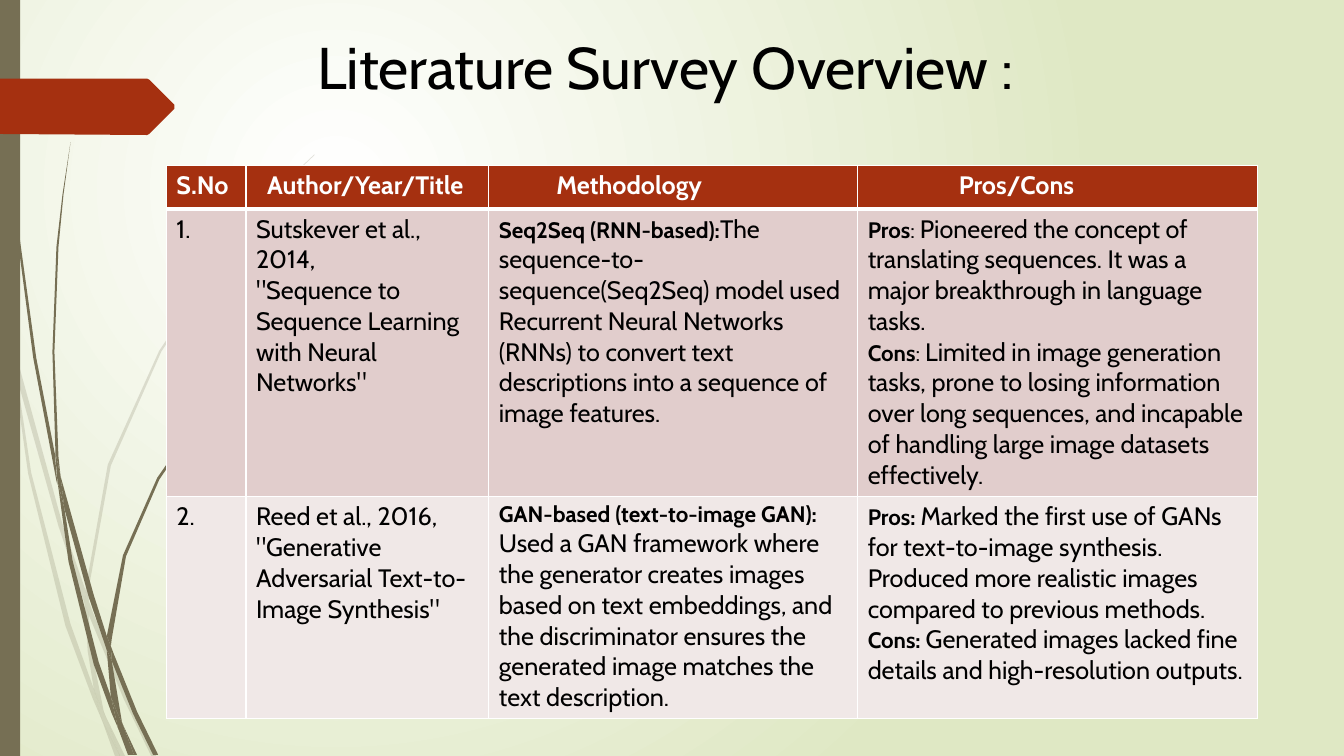
from pptx import Presentation
from pptx.dml.color import RGBColor
from pptx.enum.shapes import MSO_SHAPE
from pptx.enum.text import MSO_ANCHOR, PP_ALIGN
from pptx.oxml import parse_xml
from pptx.oxml.ns import nsdecls, qn
from pptx.util import Pt

RECT = MSO_SHAPE.RECTANGLE
TOP = MSO_ANCHOR.TOP
CENTER = PP_ALIGN.CENTER

WHITE = RGBColor(0xFF, 0xFF, 0xFF)
BLACK = RGBColor(0x00, 0x00, 0x00)
LIME = RGBColor(0xDF, 0xE8, 0xC4)
OLIVE = RGBColor(0x76, 0x6F, 0x54)
RUST = RGBColor(0xA5, 0x30, 0x10)
ROSE = RGBColor(0xE1, 0xCD, 0xCC)
PALE = RGBColor(0xF0, 0xE8, 0xE7)

GRID = Pt(0.72)

FAINT = [
    [(11, 350), (9, 322), (0, 282), (0, 299), (10, 344)],
    [(58, 522), (84, 599), (85, 586), (62, 520), (14, 345), (17, 376)],
    [(92, 607), (88, 596), (88, 610), (123, 694), (150, 750), (155, 750), (127, 692)],
    [(119, 750), (124, 750), (105, 711)],
    [(93, 683), (70, 619), (31, 469), (17, 376), (11, 350), (28, 470), (65, 621),
     (92, 693), (101, 714), (99, 707)],
    [(84, 599), (87, 646), (93, 683), (96, 692), (105, 711), (103, 706), (91, 646),
     (88, 610), (88, 608)],
    [(88, 584), (110, 462), (160, 349), (229, 245), (268, 198), (290, 175), (312, 154),
     (312, 153), (289, 175), (268, 197), (228, 244), (158, 348), (107, 461), (85, 584),
     (85, 586), (88, 596)],
    [(101, 714), (114, 750), (119, 750)],
    [(88, 608), (88, 610), (88, 596), (85, 586), (84, 599)],
    [(96, 692), (93, 683), (99, 707), (101, 714), (119, 750), (105, 711)],
]
DARK = [
    [(7, 110), (17, 233), (33, 355), (56, 477), (57, 481), (55, 457), (55, 453), (36, 355),
     (19, 232), (8, 109), (5, 48), (4, 0), (3, 0), (4, 48)],
    [(88, 592), (106, 645), (106, 633), (106, 631), (93, 590), (60, 472), (64, 505)],
    [(113, 649), (110, 641), (111, 656), (132, 708), (152, 749), (157, 749), (136, 706)],
    [(110, 691), (98, 657), (72, 556), (64, 505), (57, 477), (68, 557), (93, 659),
     (111, 708), (117, 722), (116, 717)],
    [(60, 472), (58, 453), (54, 349), (58, 245), (63, 193), (70, 141), (62, 193),
     (56, 245), (52, 349), (55, 449)],
    [(133, 749), (136, 749), (122, 719)],
    [(57, 477), (64, 505), (60, 472), (55, 449), (55, 453)],
    [(111, 633), (125, 552), (158, 476), (205, 406), (231, 374), (245, 359), (261, 344),
     (260, 344), (245, 358), (231, 373), (204, 405), (156, 474), (122, 551), (106, 631),
     (110, 641)],
    [(117, 722), (127, 749), (131, 749)],
    [(106, 645), (110, 691), (116, 706), (122, 719), (121, 716), (111, 656), (109, 651)],
    [(106, 645), (109, 651), (111, 656), (110, 641), (106, 631), (106, 633)],
    [(116, 706), (110, 691), (116, 717), (117, 722), (130, 749), (133, 749), (122, 719)],
]
ARROW = [(173, 108), (148, 133), (146, 134), (0, 133), (0, 78), (146, 78), (148, 79), (173, 104)]

COLS = [56.9, 173.5, 263.5, 285.8]
ROWS = [31, 205.5, 158.5]
HEADS = [("S.No", 0), ("Author/Year/Title", 8), ("Methodology", 41), ("Pros/Cons", 65)]
HEAD = [(18, True)]
BODY = [(16, True), (16, False), (18, False)]
WORKS = [
    [
        [("", "", "1.")],
        [("", "", "Sutskever et al., 2014,"),
         ("", "", '"Sequence to Sequence Learning with Neural Networks"')],
        [("Seq2Seq (RNN-based):", "",
          "The sequence-to-sequence(Seq2Seq) model used Recurrent Neural Networks (RNNs) "
          "to convert text descriptions into a sequence of image features.")],
        [("Pros", ": ",
          "Pioneered the concept of translating sequences. It was a major breakthrough "
          "in language tasks."),
         ("Cons", ": ",
          "Limited in image generation tasks, prone to losing information over long "
          "sequences, and incapable of handling large image datasets effectively.")],
    ],
    [
        [("", "", "2.")],
        [("", "", 'Reed et al., 2016, "Generative Adversarial Text-to-Image Synthesis"')],
        [("GAN-based (text-to-image GAN): ", "",
          "Used a GAN framework where the generator creates images based on text embeddings, "
          "and the discriminator ensures the generated image matches the text description.")],
        [("Pros: ", "",
          "Marked the first use of GANs for text-to-image synthesis. Produced more realistic "
          "images compared to previous methods."),
         ("Cons: ", "", "Generated images lacked fine details and high-resolution outputs.")],
    ],
]


class Deck:
    """Hold the font and the current slide, and draw each kind of element."""

    def __init__(self, slide, face):
        self.slide = slide
        self.face = face

    def back(self, inner, outer):
        fill = self.slide.background.fill
        fill.gradient()
        for stop, color in zip(fill.gradient_stops, (inner, outer)):
            stop.color.rgb = color
        lin = next(self.slide.element.iter(qn("a:lin")))
        lin.getparent().replace(lin, parse_xml(
            f'<a:path {nsdecls("a")} path="circle">'
            '<a:fillToRect l="50000" t="50000" r="100000" b="100000"/></a:path>'))

    def paint(self, shape, color, alpha=100):
        shape.shadow.inherit = False
        shape.line.fill.background()
        shape.fill.solid()
        shape.fill.fore_color.rgb = color
        if alpha < 100:
            tone = next(shape.element.spPr.iter(qn("a:srgbClr")))
            tone.append(parse_xml(f'<a:alpha {nsdecls("a")} val="{alpha * 1000}"/>'))

    def bar(self, x, y, w, h, color):
        self.paint(self.slide.shapes.add_shape(RECT, Pt(x), Pt(y), Pt(w), Pt(h)), color)

    def blade(self, points, color, alpha=100):
        pen = self.slide.shapes.build_freeform(*points[0], scale=GRID)
        pen.add_line_segments(points[1:])
        self.paint(pen.convert_to_shape(), color, alpha)

    def style(self, run, size, bold, color):
        font = run.font
        font.name, font.size, font.bold = self.face, Pt(size), bold
        font.color.rgb = color

    def title(self, text, x, y, w, h, size):
        frame = self.slide.shapes.add_textbox(Pt(x), Pt(y), Pt(w), Pt(h)).text_frame
        frame.word_wrap = True
        frame.vertical_anchor = TOP
        frame.text = text
        frame.paragraphs[0].alignment = CENTER
        self.style(frame.paragraphs[0].runs[0], size, False, BLACK)

    def table(self, x, y, cols, rows):
        grid = self.slide.shapes.add_table(
            len(rows), len(cols), Pt(x), Pt(y), Pt(sum(cols)), Pt(sum(rows))).table
        for col, width in zip(grid.columns, cols):
            col.width = Pt(width)
        for row, height in zip(grid.rows, rows):
            row.height = Pt(height)
        return grid

    def cell(self, cell, paras, looks, color, fill, top=1, base=1):
        frame = cell.text_frame
        for num, parts in enumerate(paras):
            para = frame.add_paragraph() if num else frame.paragraphs[0]
            for text, (size, bold) in zip(parts, looks):
                if text:
                    run = para.add_run()
                    run.text = text
                    self.style(run, size, bold, color)
        props = cell._tc.get_or_add_tcPr()
        for side, width in zip("LRTB", (1, 1, top, base)):
            props.append(parse_xml(
                f'<a:ln{side} {nsdecls("a")} w="{Pt(width)}"><a:solidFill>'
                f'<a:srgbClr val="{WHITE}"/></a:solidFill></a:ln{side}>'))
        cell.fill.solid()
        cell.fill.fore_color.rgb = fill


def main():
    deck = Presentation()
    deck.slide_width, deck.slide_height = Pt(960), Pt(540)
    page = Deck(deck.slides.add_slide(deck.slide_layouts[6]), "Cabin")
    page.back(WHITE, LIME)
    for points in FAINT:
        page.blade(points, OLIVE, 20)
    for points in DARK:
        page.blade(points, OLIVE)
    page.bar(0, 0, 14.4, 540, OLIVE)
    page.blade(ARROW, RUST)
    page.title("Literature Survey Overview : ", 0, 18.7, 960, 68.4, 42)
    grid = page.table(118.8, 118.1, COLS, ROWS)
    for col, (text, shift) in enumerate(HEADS):
        cell = grid.cell(0, col)
        cell.margin_left = Pt(7.2 + shift)
        page.cell(cell, [(text,)], HEAD, WHITE, RUST, base=3)
    for row, (work, fill, top) in enumerate(zip(WORKS, (ROSE, PALE), (3, 1)), 1):
        for col, paras in enumerate(work):
            page.cell(grid.cell(row, col), paras, BODY, BLACK, fill, top=top)
    deck.save("out.pptx")


if __name__ == "__main__":
    main()
